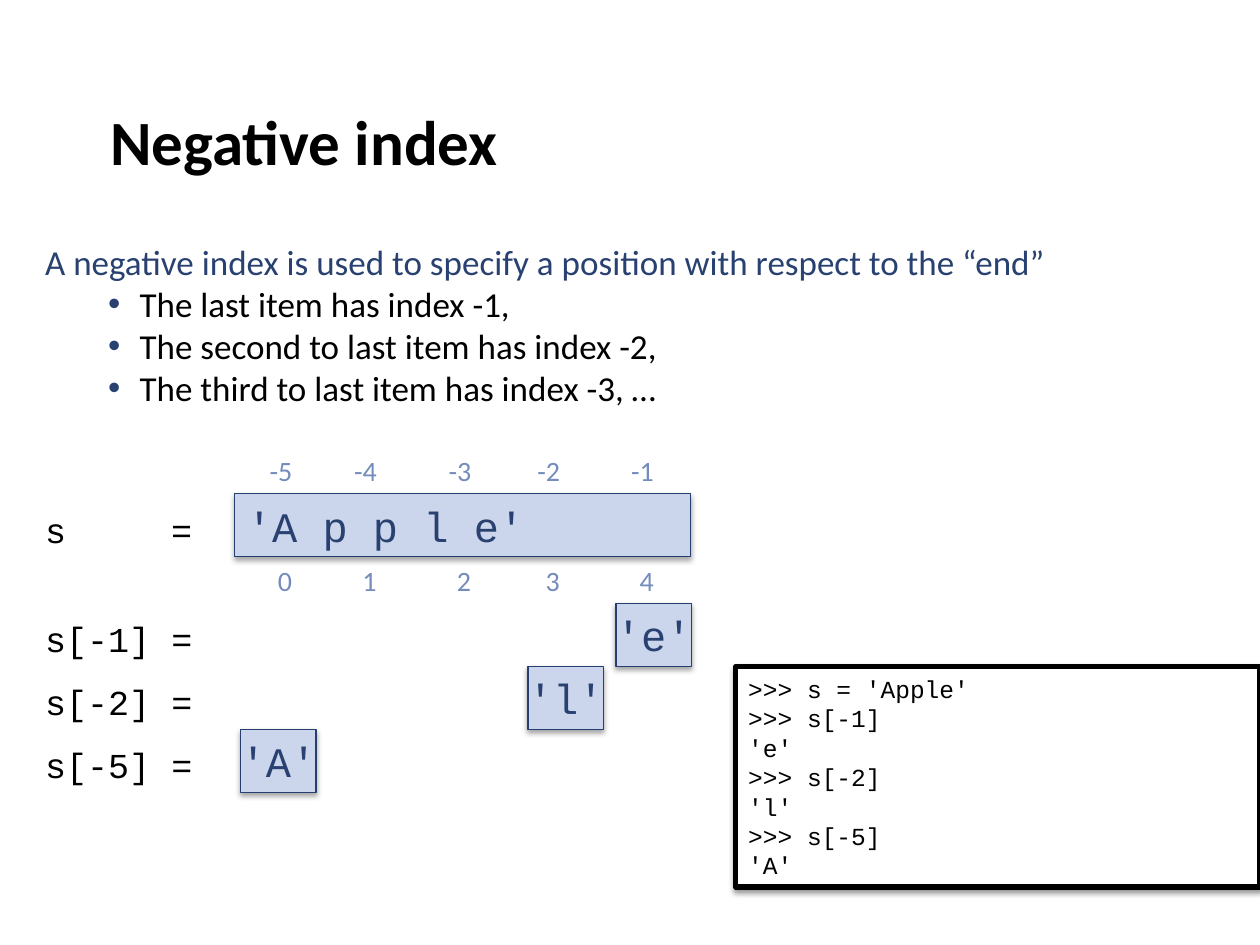
from lxml import etree
from pptx import Presentation
from pptx.dml.color import RGBColor
from pptx.enum.shapes import MSO_SHAPE
from pptx.enum.text import MSO_ANCHOR, PP_ALIGN
from pptx.oxml.ns import qn
from pptx.util import Pt

RECTANGLE = MSO_SHAPE.RECTANGLE
MIDDLE, BOTTOM = MSO_ANCHOR.MIDDLE, MSO_ANCHOR.BOTTOM
LEFT, CENTER, JUSTIFY = PP_ALIGN.LEFT, PP_ALIGN.CENTER, PP_ALIGN.JUSTIFY

BLACK = RGBColor(0x00, 0x00, 0x00)
WHITE = RGBColor(0xFF, 0xFF, 0xFF)
NAVY = RGBColor(0x29, 0x41, 0x71)
EDGE = RGBColor(0x26, 0x3F, 0x70)
PALE_BLUE = RGBColor(0xCB, 0xD6, 0xEC)
INDEX_BLUE = RGBColor(0x74, 0x8C, 0xBC)

TITLE = dict(size=Pt(36), name="Calibri", bold=True)
BODY = dict(size=Pt(20), name="Calibri")
INDEX = dict(size=Pt(16), name="Calibri")
LABEL = dict(size=Pt(20), name="Courier New")
VALUE = dict(size=Pt(24), name="Courier New")
CONSOLE = dict(size=Pt(14), name="Courier New")

RULES = [
    "The last item has index -1,",
    "The second to last item has index -2,",
    "The third to last item has index -3, …",
]
# Left and width of each letter's index, shared by both index rows
INDEX_COLUMNS = [(142.6, 36), (185.8, 46), (239.8, 46), (292.3, 42.5), (349.2, 36)]
# Label, value, left edge of the value
LOOKUPS = [("s[-1] =", "'e'", 352), ("s[-2] =", "'l'", 301.7), ("s[-5] =", "'A'", 137.5)]
SESSION = [">>> s = 'Apple'", ">>> s[-1]", "'e'", ">>> s[-2]", "'l'", ">>> s[-5]", "'A'"]
ROW_HEIGHT = 36


def write(shape, lines, font, color, align=LEFT, wrap=True):
    frame = shape.text_frame
    frame.word_wrap = wrap
    frame.vertical_anchor = MIDDLE
    for number, line in enumerate(lines):
        paragraph = frame.add_paragraph() if number else frame.paragraphs[0]
        paragraph.alignment = align
        run = paragraph.add_run()
        run.text = line
        for attribute, value in font.items():
            setattr(run.font, attribute, value)
        run.font.color.rgb = color
    return frame


def add_text(slide, box, lines, font, color, **layout):
    shape = slide.shapes.add_textbox(*map(Pt, box))
    return write(shape, lines, font, color, **layout)


def add_shadow(shape, opacity):
    """Give the shape a soft shadow straight below it."""
    shape.shadow.inherit = False
    effects = shape._element.spPr.find(qn("a:effectLst"))
    shadow = etree.SubElement(effects, qn("a:outerShdw"), blurRad=str(Pt(3.1)),
                              dist=str(Pt(1.8)), dir="5400000", rotWithShape="0")
    color = etree.SubElement(shadow, qn("a:srgbClr"), val=str(BLACK))
    etree.SubElement(color, qn("a:alpha"), val=str(opacity * 1000))


def add_panel(slide, box, fill, edge, edge_width, opacity):
    panel = slide.shapes.add_shape(RECTANGLE, *map(Pt, box))
    panel.fill.solid()
    panel.fill.fore_color.rgb = fill
    panel.line.color.rgb = edge
    panel.line.width = Pt(edge_width)
    add_shadow(panel, opacity)
    return panel


def add_value(slide, box, value, **layout):
    panel = add_panel(slide, box, PALE_BLUE, EDGE, 0.75, 35)
    write(panel, [value], VALUE, NAVY, **layout)


def add_title(slide, box):
    frame = add_text(slide, box, ["Negative index"], TITLE, BLACK)
    frame.vertical_anchor = BOTTOM
    frame.margin_bottom = Pt(14)


def add_explanation(slide, box):
    intro = "A negative index is used to specify a position with respect to the “end”"
    frame = add_text(slide, box, [intro, *RULES], BODY, BLACK)
    frame.paragraphs[0].runs[0].font.color.rgb = NAVY
    for rule in frame.paragraphs[1:]:
        rule.level = 1
        properties = rule._p.get_or_add_pPr()
        properties.set("marL", str(Pt(54)))
        properties.set("indent", str(Pt(-18)))
        bullet_color = etree.SubElement(properties, qn("a:buClr"))
        etree.SubElement(bullet_color, qn("a:srgbClr"), val=str(NAVY))
        etree.SubElement(properties, qn("a:buFont"), typeface="Arial")
        etree.SubElement(properties, qn("a:buChar"), char="•")


def add_label(slide, left, row_top, label):
    box = (left, row_top + 4.3, 99.4, 31.7)
    return add_text(slide, box, [label], LABEL, BLACK, wrap=False)


def add_index_row(slide, top, shift, indices):
    for (left, width), index in zip(INDEX_COLUMNS, indices):
        add_text(slide, (left + shift, top, width, 26.6), [str(index)],
                 INDEX, INDEX_BLUE, align=CENTER)


def add_string(slide, box):
    """The string s between its negative and positive indices."""
    left, top, width, height = box
    add_index_row(slide, top, 0, range(-5, 0))
    string_top = top + 26.6
    add_value(slide, (134, string_top, width - 134 + left, ROW_HEIGHT),
              "'A p p l e'", align=JUSTIFY)
    label = add_label(slide, left, string_top, "s\t=")
    properties = label.paragraphs[0]._p.get_or_add_pPr()
    tabs = etree.SubElement(properties, qn("a:tabLst"))
    etree.SubElement(tabs, qn("a:tab"), pos=str(Pt(72)), algn="l")
    add_index_row(slide, top + height - 26.6, 2.3, range(5))


def add_lookups(slide, box):
    left, top, _, height = box
    pitch = height / len(LOOKUPS)
    for row, (label, value, value_left) in enumerate(LOOKUPS):
        row_top = top + row * pitch
        add_label(slide, left, row_top, label)
        add_value(slide, (value_left, row_top, 43.2, pitch), value,
                  align=CENTER, wrap=False)


def add_console(slide, box):
    panel = add_panel(slide, box, WHITE, BLACK, 3, 38)
    write(panel, SESSION, CONSOLE, BLACK)


def main():
    presentation = Presentation()
    presentation.slide_width = Pt(720)
    presentation.slide_height = Pt(540)
    slide = presentation.slides.add_slide(presentation.slide_layouts[6])
    add_title(slide, (56, 0, 612, 116))
    add_explanation(slide, (18.7, 133.2, 667.4, 104.4))
    add_string(slide, (18.7, 255.6, 376, 89.2))
    add_lookups(slide, (18.7, 344.9, 376, 3 * ROW_HEIGHT))
    add_console(slide, (420.5, 380.9, 299.5, 126))
    presentation.save("out.pptx")


if __name__ == "__main__":
    main()
